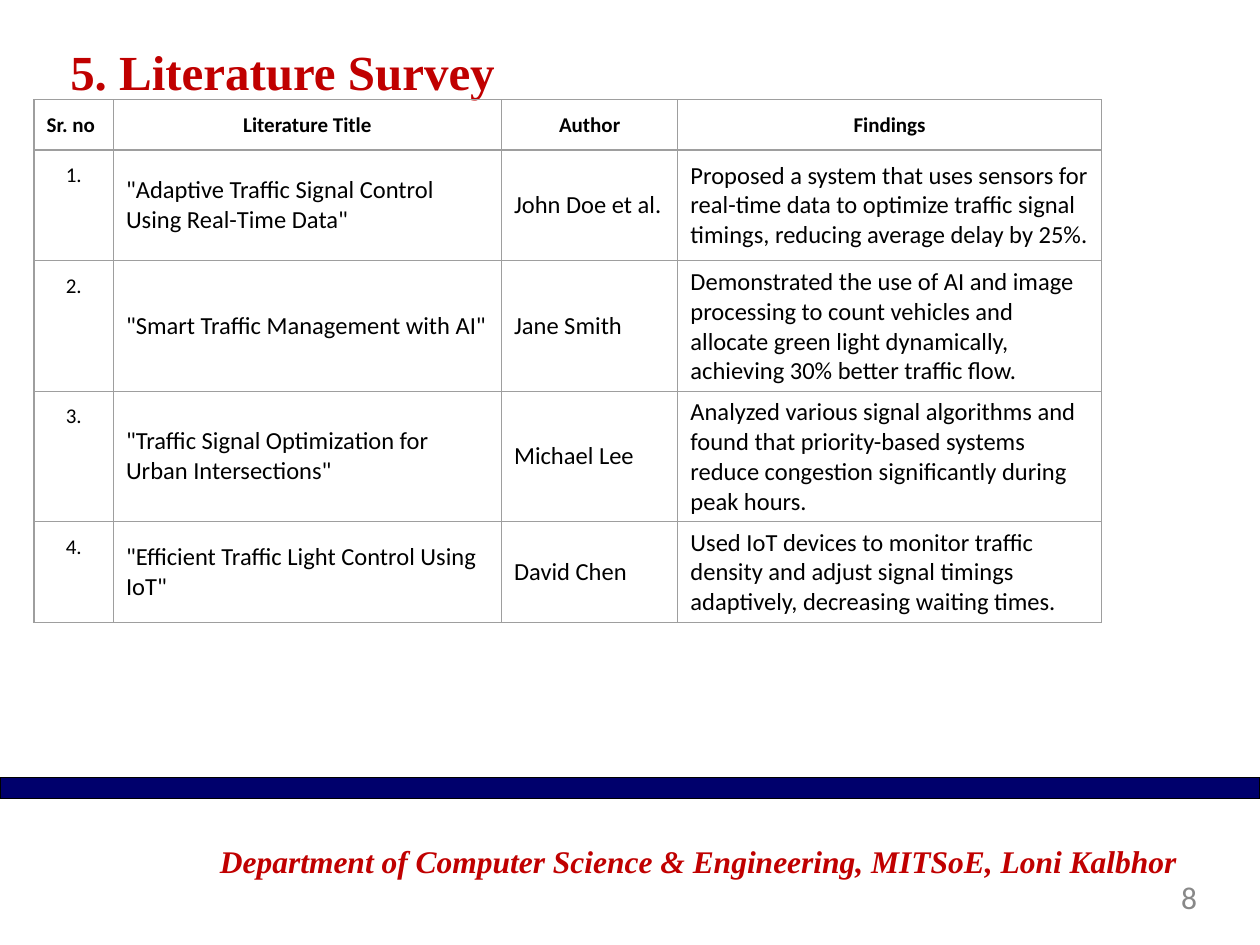
from dataclasses import dataclass

from lxml.etree import SubElement
from pptx import Presentation
from pptx.dml.color import RGBColor
from pptx.enum.shapes import MSO_SHAPE
from pptx.enum.text import MSO_ANCHOR, PP_ALIGN
from pptx.oxml.ns import qn
from pptx.util import Inches, Pt


@dataclass(frozen=True)
class Theme:
    """Colours, fonts and type sizes of the slide."""
    red: str = "C00000"
    navy: str = "00006C"
    black: str = "000000"
    gray: str = "888888"
    rule: str = "9E9E9E"
    serif: str = "Times New Roman"
    sans: str = "Calibri"
    title: int = 28
    foot: int = 18
    body: int = 14
    small: int = 12
    line: float = 0.75


THEME = Theme()
HEADS = ("Sr. no", "Literature Title", "Author", "Findings")
PAPERS = (
    ('"Adaptive Traffic Signal Control Using Real-Time Data"', "John Doe et al.",
     "Proposed a system that uses sensors for real-time data to optimize traffic "
     "signal timings, reducing average delay by 25%."),
    ('"Smart Traffic Management with AI"', "Jane Smith",
     "Demonstrated the use of AI and image processing to count vehicles and "
     "allocate green light dynamically, achieving 30% better traffic flow."),
    ('"Traffic Signal Optimization for Urban Intersections"', "Michael Lee",
     "Analyzed various signal algorithms and found that priority-based systems "
     "reduce congestion significantly during peak hours."),
    ('"Efficient Traffic Light Control Using IoT"', "David Chen",
     "Used IoT devices to monitor traffic density and adjust signal timings "
     "adaptively, decreasing waiting times."),
)
WIDTHS = (0.63, 3.08, 1.4, 3.36)
HEIGHTS = (0.27, 0.88, 0.88, 0.73, 0.7)


def write(frame, text, size, face, color, bold=False, italic=False, align=PP_ALIGN.LEFT):
    """Add one styled run to the first paragraph of a frame."""
    para = frame.paragraphs[0]
    para.alignment = align
    run = para.add_run()
    run.text = text
    font = run.font
    font.size, font.name, font.bold, font.italic = Pt(size), face, bold, italic
    font.color.rgb = RGBColor.from_string(color)


def add_box(slide, box, pad=(0, 0), anchor=MSO_ANCHOR.TOP):
    """Add a wrapping text box and return its frame."""
    frame = slide.shapes.add_textbox(*map(Inches, box)).text_frame
    frame.word_wrap = True
    frame.vertical_anchor = anchor
    frame.margin_left = frame.margin_right = Inches(pad[0])
    frame.margin_top = frame.margin_bottom = Inches(pad[1])
    return frame


def add_title(slide, box):
    """Place the slide title."""
    frame = add_box(slide, box, (0.1, 0.05), MSO_ANCHOR.MIDDLE)
    write(frame, "5. Literature Survey", THEME.title, THEME.serif, THEME.red, bold=True)


def add_band(slide, box):
    """Place the navy band above the footer."""
    band = slide.shapes.add_shape(MSO_SHAPE.RECTANGLE, *map(Inches, box))
    band.shadow.inherit = False
    band.fill.solid()
    band.fill.fore_color.rgb = RGBColor.from_string(THEME.navy)
    band.line.color.rgb = RGBColor.from_string(THEME.black)
    band.line.width = Pt(THEME.line)


def add_footer(slide, box):
    """Place the department name and the page number."""
    left, top, width, height = box
    name = add_box(slide, (left, top, width, height))
    write(name, "Department of Computer Science & Engineering, MITSoE, Loni Kalbhor",
          THEME.foot, THEME.serif, THEME.red, True, True, PP_ALIGN.CENTER)
    page = add_box(slide, (left + width - 2.38, top + 0.29, 2.3, 0.38))
    write(page, "8", THEME.foot, THEME.sans, THEME.gray, align=PP_ALIGN.RIGHT)


def rule_cell(cell):
    """Draw the four borders of a cell and clear its fill."""
    props = cell._tc.get_or_add_tcPr()
    for side in ("a:lnL", "a:lnR", "a:lnT", "a:lnB"):
        line = SubElement(props, qn(side), w=str(Pt(THEME.line)))
        SubElement(SubElement(line, qn("a:solidFill")), qn("a:srgbClr"), val=THEME.rule)
    cell.fill.background()


def fill_cell(cell, text, row, col):
    """Style and write one cell by its place in the table."""
    rule_cell(cell)
    head, label = row == 0, row == 0 or col == 0
    if label:
        cell.margin_top = cell.margin_bottom = Inches(0.1)
    cell.margin_left = cell.margin_right = Inches(0.1)
    cell.vertical_anchor = MSO_ANCHOR.TOP if label else MSO_ANCHOR.MIDDLE
    center = label and (row, col) != (0, 0)
    write(cell.text_frame, text, THEME.small if label else THEME.body, THEME.sans,
          THEME.black, head, align=PP_ALIGN.CENTER if center else PP_ALIGN.LEFT)


def add_survey(slide, box):
    """Place the table of surveyed papers."""
    rows = [HEADS] + [(f"{n}.", *paper) for n, paper in enumerate(PAPERS, 1)]
    table = slide.shapes.add_table(len(rows), len(HEADS), *map(Inches, box)).table
    table.first_row = table.horz_banding = False
    for col, width in zip(table.columns, WIDTHS):
        col.width = Inches(width)
    for row, height in zip(table.rows, HEIGHTS):
        row.height = Inches(height)
    for r, texts in enumerate(rows):
        for c, text in enumerate(texts):
            fill_cell(table.cell(r, c), text, r, c)


def main():
    """Build and save the slide."""
    deck = Presentation()
    deck.slide_width, deck.slide_height = Inches(10), Inches(7.5)
    slide = deck.slides.add_slide(deck.slide_layouts[6])
    add_band(slide, (0, 6.17, 10, 0.17))
    add_title(slide, (0.46, 0.25, 8.76, 0.63))
    add_footer(slide, (1.51, 6.68, 8.07, 0.74))
    add_survey(slide, (0.27, 0.79, sum(WIDTHS), sum(HEIGHTS)))
    deck.save("out.pptx")


if __name__ == "__main__":
    main()
